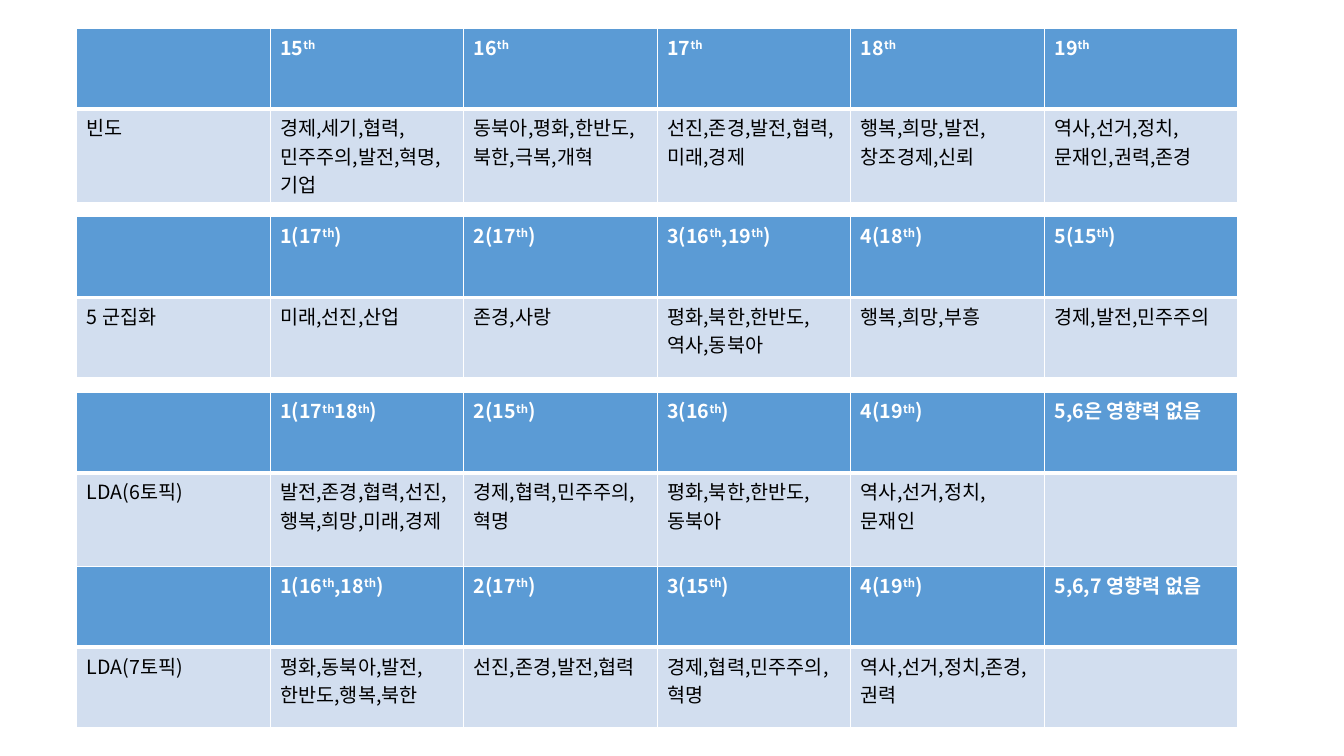
import pptx
import pptx.dml.color
import pptx.oxml.ns
import pptx.util
from dataclasses import dataclass
from lxml import etree

Inches = pptx.util.Inches
qn = pptx.oxml.ns.qn
RGB = pptx.dml.color.RGBColor.from_string


@dataclass(frozen=True)
class Theme:
    font: str = "Noto Sans CJK KR"
    size: int = 14
    header_fill: str = "5B9BD5"
    header_text: str = "FFFFFF"
    body_fill: str = "D2DEEF"
    body_text: str = "000000"
    border: str = "FFFFFF"


theme = Theme()
LEFT, COLUMN_WIDTH, ROW_HEIGHT = 0.76, 1.92, 0.8
THIN, THICK = 1, 3

# Each entry: top edge, header row, keyword row; "^" marks where a raised "th" goes.
keyword_tables = [
    (0.28,
     ["", "15^", "16^", "17^", "18^", "19^"],
     ["빈도", "경제,세기,협력,민주주의,발전,혁명,기업", "동북아,평화,한반도,북한,극복,개혁",
      "선진,존경,발전,협력,미래,경제", "행복,희망,발전,창조경제,신뢰",
      "역사,선거,정치,문재인,권력,존경"]),
    (2.15,
     ["", "1(17^)", "2(17^)", "3(16^,19^)", "4(18^)", "5(15^)"],
     ["5 군집화", "미래,선진,산업", "존경,사랑", "평화,북한,한반도,역사,동북아",
      "행복,희망,부흥", "경제,발전,민주주의"]),
    (5.62,
     ["", "1(16^,18^)", "2(17^)", "3(15^)", "4(19^)", "5,6,7 영향력 없음"],
     ["LDA(7토픽)", "평화,동북아,발전,한반도,행복,북한", "선진,존경,발전,협력",
      "경제,협력,민주주의,혁명", "역사,선거,정치,존경,권력", ""]),
    (3.89,
     ["", "1(17^18^)", "2(15^)", "3(16^)", "4(19^)", "5,6은 영향력 없음"],
     ["LDA(6토픽)", "발전,존경,협력,선진,행복,희망,미래,경제", "경제,협력,민주주의,혁명",
      "평화,북한,한반도,동북아", "역사,선거,정치,문재인", ""]),
]


def write_with_ordinals(paragraph, text, color, bold):
    """Write text, replacing each "^" by a superscript "th"."""
    font = paragraph.font
    font.size, font.bold, font.name = pptx.util.Pt(theme.size), bold, theme.font
    font.color.rgb = RGB(color)
    defaults = paragraph._p.pPr.find(qn("a:defRPr"))
    etree.SubElement(defaults, qn("a:ea"), typeface=theme.font)
    for index, part in enumerate(text.split("^")):
        if index:
            ordinal = paragraph.add_run()
            ordinal.text = "th"
            ordinal._r.get_or_add_rPr().set("baseline", "30000")
        if part:
            paragraph.add_run().text = part


def set_borders(cell, top, bottom):
    properties = cell._tc.get_or_add_tcPr()
    widths = {"a:lnL": THIN, "a:lnR": THIN, "a:lnT": top, "a:lnB": bottom}
    for position, (side, width) in enumerate(widths.items()):
        line = etree.Element(qn(side), w=str(pptx.util.Pt(width)))
        fill = etree.SubElement(line, qn("a:solidFill"))
        etree.SubElement(fill, qn("a:srgbClr"), val=theme.border)
        properties.insert(position, line)


presentation = pptx.Presentation()
presentation.slide_width = Inches(13.33)
presentation.slide_height = Inches(7.5)
slide = presentation.slides.add_slide(presentation.slide_layouts[6])

for top, headers, keywords in keyword_tables:
    table = slide.shapes.add_table(
        2, len(headers), Inches(LEFT), Inches(top),
        Inches(COLUMN_WIDTH * len(headers)), Inches(ROW_HEIGHT * 2)).table
    table.horz_banding = False
    for column in table.columns:
        column.width = Inches(COLUMN_WIDTH)
    for row_index, texts in enumerate((headers, keywords)):
        is_header = row_index == 0
        table.rows[row_index].height = Inches(ROW_HEIGHT)
        for column_index, text in enumerate(texts):
            cell = table.cell(row_index, column_index)
            cell.margin_left = cell.margin_right = Inches(0.1)
            cell.margin_top = cell.margin_bottom = Inches(0.04)
            cell.fill.solid()
            cell.fill.fore_color.rgb = RGB(theme.header_fill if is_header else theme.body_fill)
            set_borders(cell, THIN if is_header else THICK, THICK if is_header else THIN)
            write_with_ordinals(cell.text_frame.paragraphs[0], text,
                                theme.header_text if is_header else theme.body_text,
                                is_header)

presentation.save("out.pptx")
